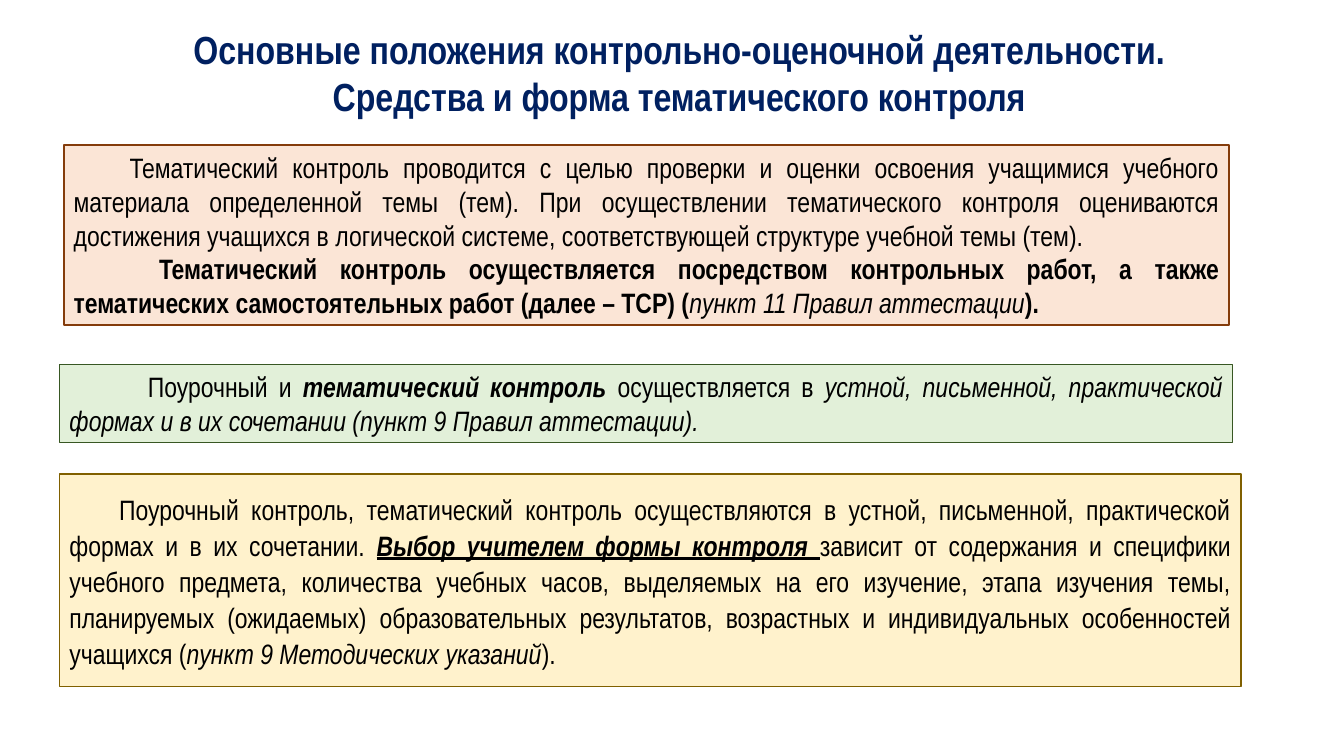
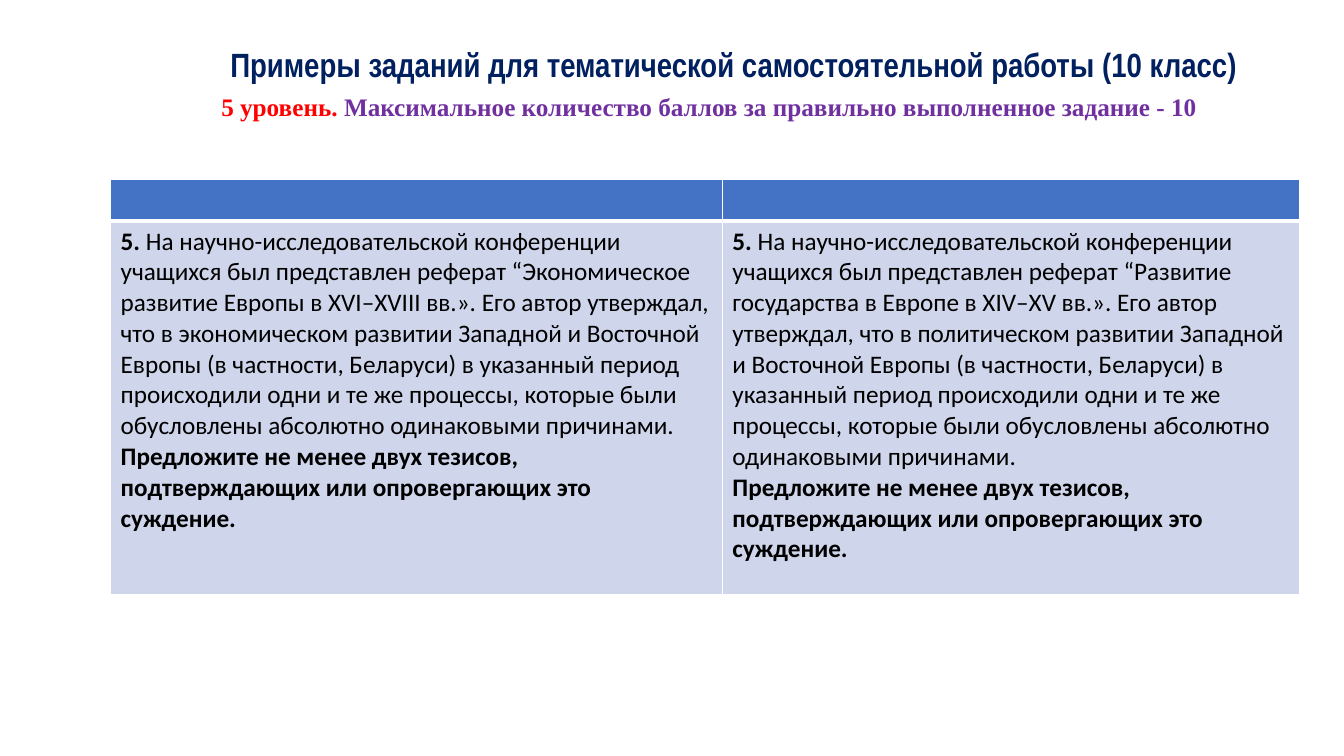
import dataclasses

import pptx
import pptx.dml.color
import pptx.enum.shapes
import pptx.enum.text
import pptx.util
from lxml import etree
from pptx.oxml.ns import qn

Pt = pptx.util.Pt
ALIGN = pptx.enum.text.PP_ALIGN
ANCHOR = pptx.enum.text.MSO_ANCHOR
BOLD = {"bold": True}
ITALIC = {"italic": True}
STRONG = {"bold": True, "italic": True}


@dataclasses.dataclass(frozen=True)
class Theme:
    """Colours, fonts and type sizes shared by the deck."""

    navy: str = "002060"
    black: str = "000000"
    white: str = "FFFFFF"
    red: str = "FF0000"
    purple: str = "7030A0"
    peach: tuple = ("FBE5D6", "843C0B", 1.5)
    green: tuple = ("E2F0D9", "385723", 1)
    yellow: tuple = ("FFF2CC", "806000", 1)
    header_fill: str = "4472C4"
    cell_fill: str = "CFD5EA"
    narrow: str = "Arial Narrow"
    serif: str = "Times New Roman"
    sans: str = "Calibri"
    title_size: int = 28
    small_title_size: int = 24
    box_size: int = 20
    text_size: int = 18


THEME = Theme()


def rgb(code):
    """Turn a hex code into a colour."""
    return pptx.dml.color.RGBColor.from_string(code)


def apply(target, values):
    """Set every attribute named in a dict of format values."""
    for name, value in values.items():
        setattr(target, name, value)


def write(frame, paras, font, size, color, layout=None):
    """Fill a text frame with paragraphs of (text, format) spans."""
    for index, (spans, indents) in enumerate(paras):
        para = frame.paragraphs[0] if index == 0 else frame.add_paragraph()
        apply(para, layout or {})
        for name, points in indents.items():
            para._p.get_or_add_pPr().set(name, str(Pt(points)))
        for text, values in spans:
            span = para.add_run()
            span.text = text
            span_format = {"name": font, "size": Pt(size), "bold": False, **values}
            span_color = span_format.pop("color", color)
            apply(span.font, span_format)
            span.font.color.rgb = rgb(span_color)


def add_page(deck, lines, box, size):
    """Add a page with its title placed in the given box."""
    page = deck.slides.add_slide(deck.slide_layouts[5])
    title = page.shapes.title
    apply(title, dict(zip(("left", "top", "width", "height"), map(Pt, box))))
    apply(title.text_frame, {
        "word_wrap": True,
        "auto_size": pptx.enum.text.MSO_AUTO_SIZE.NONE,
        "vertical_anchor": ANCHOR.TOP,
    })
    paras = [([(line, BOLD)], {}) for line in lines]
    write(title.text_frame, paras, THEME.narrow, size, THEME.navy,
          {"alignment": ALIGN.CENTER})
    return page


def add_panel(page, box, colors, paras, layout=None):
    """Add a filled, outlined box of justified text."""
    fill, line, weight = colors
    panel = page.shapes.add_shape(
        pptx.enum.shapes.MSO_SHAPE.RECTANGLE, *map(Pt, box))
    panel.shadow.inherit = False
    panel.fill.solid()
    panel.fill.fore_color.rgb = rgb(fill)
    panel.line.color.rgb = rgb(line)
    panel.line.width = Pt(weight)
    apply(panel.text_frame, {"word_wrap": True, "vertical_anchor": ANCHOR.MIDDLE})
    write(panel.text_frame, paras, THEME.narrow, THEME.box_size, THEME.black,
          {"alignment": ALIGN.JUSTIFY, **(layout or {})})


def add_subtitle(page, box, spans):
    """Add the line of text under the title."""
    label = page.shapes.add_textbox(*map(Pt, box))
    label.text_frame.word_wrap = True
    write(label.text_frame, [(spans, {"marL": 36})], THEME.serif,
          THEME.text_size, THEME.purple,
          {"alignment": ALIGN.JUSTIFY, "line_spacing": 1.07})


def style_cell(cell, fill, bottom):
    """Give a cell white borders and a fill."""
    properties = cell._tc.get_or_add_tcPr()
    for side, weight in (("L", 1), ("R", 1), ("T", 1), ("B", bottom)):
        border = etree.SubElement(properties, qn(f"a:ln{side}"), w=str(Pt(weight)))
        paint = etree.SubElement(border, qn("a:solidFill"))
        etree.SubElement(paint, qn("a:srgbClr"), val=THEME.white)
    cell.fill.solid()
    cell.fill.fore_color.rgb = rgb(fill)


def add_task_table(page, box, widths, header_height, tasks):
    """Add a table with an empty header and one task per column."""
    table = page.shapes.add_table(2, len(tasks), *map(Pt, box)).table
    for row, height in zip(table.rows, (header_height, box[3] - header_height)):
        row.height = Pt(height)
    for index, (width, paras) in enumerate(zip(widths, tasks)):
        table.columns[index].width = Pt(width)
        style_cell(table.cell(0, index), THEME.header_fill, 3)
        body = table.cell(1, index)
        style_cell(body, THEME.cell_fill, 1)
        write(body.text_frame, paras, THEME.sans, THEME.text_size, THEME.black)


def task(topic, sphere):
    """Word one task from its essay topic and sphere of development."""
    question = (
        "На научно-исследовательской конференции учащихся был представлен "
        f"реферат “{topic} вв.». Его автор утверждал, что в {sphere} развитии "
        "Западной и Восточной Европы (в частности, Беларуси) в указанный период "
        "происходили одни и те же процессы, которые были обусловлены абсолютно "
        "одинаковыми причинами.")
    demand = ("Предложите не менее двух тезисов, подтверждающих или "
              "опровергающих это суждение.")
    return [([("5. ", BOLD), (question, {})], {}), ([(demand, BOLD)], {})]


def build_control_page(deck):
    """Build the page on the means and forms of control."""
    page = add_page(deck, [
        "Основные положения контрольно-оценочной деятельности.",
        "Средства и форма тематического контроля",
    ], (60, 14.5, 850, 75), THEME.title_size)
    add_panel(page, (45.5, 103.5, 832.5, 128.5), THEME.peach, [
        ([("Тематический контроль проводится с целью проверки и оценки освоения "
           "учащимися учебного материала определенной темы (тем). При "
           "осуществлении тематического контроля оцениваются достижения учащихся "
           "в логической системе, соответствующей структуре учебной темы (тем).",
           {})], {"indent": 40}),
        ([("Тематический контроль осуществляется посредством контрольных работ, "
           "а также тематических самостоятельных работ (далее – ТСР) (", BOLD),
          ("пункт 11 Правил аттестации", ITALIC),
          (").", BOLD)], {"indent": 61}),
    ])
    add_panel(page, (42.5, 260.5, 838, 55.5), THEME.green, [
        ([("Поурочный и ", {}),
          ("тематический контроль ", STRONG),
          ("осуществляется в ", {}),
          ("устной, письменной, практической формах и в их сочетании "
           "(пункт 9 Правил аттестации).", ITALIC)], {"indent": 56}),
    ])
    add_panel(page, (42.5, 338.5, 844, 152), THEME.yellow, [
        ([("Поурочный контроль, тематический контроль осуществляются в устной, "
           "письменной, практической формах и в их сочетании. ", {}),
          ("Выбор учителем формы контроля ", {**STRONG, "underline": True}),
          ("зависит от содержания и специфики учебного предмета, количества "
           "учебных часов, выделяемых на его изучение, этапа изучения темы, "
           "планируемых (ожидаемых) образовательных результатов, возрастных и "
           "индивидуальных особенностей учащихся (", {}),
          ("пункт 9 Методических указаний", ITALIC),
          (").", {})], {"indent": 35.5}),
    ], {"line_spacing": 1.07, "space_after": Pt(8)})


def build_task_page(deck):
    """Build the page with two sample tasks."""
    page = add_page(deck, [
        "Примеры заданий для тематической самостоятельной работы (10 класс)",
    ], (120, 28, 808, 36), THEME.small_title_size)
    add_subtitle(page, (115, 60.5, 787, 29.5), [
        ("5 уровень. ", {"bold": True, "color": THEME.red}),
        ("Максимальное количество баллов за правильно выполненное задание - 10",
         BOLD),
    ])
    add_task_table(page, (79, 128.5, 849, 296), (437, 412), 29.5, [
        task("Экономическое развитие Европы в XVI–XVIII", "экономическом"),
        task("Развитие государства в Европе в XIV–XV", "политическом"),
    ])


def main():
    """Build and save the deck."""
    deck = pptx.Presentation()
    apply(deck, {"slide_width": Pt(960), "slide_height": Pt(540)})
    build_control_page(deck)
    build_task_page(deck)
    deck.save("out.pptx")


if __name__ == "__main__":
    main()
